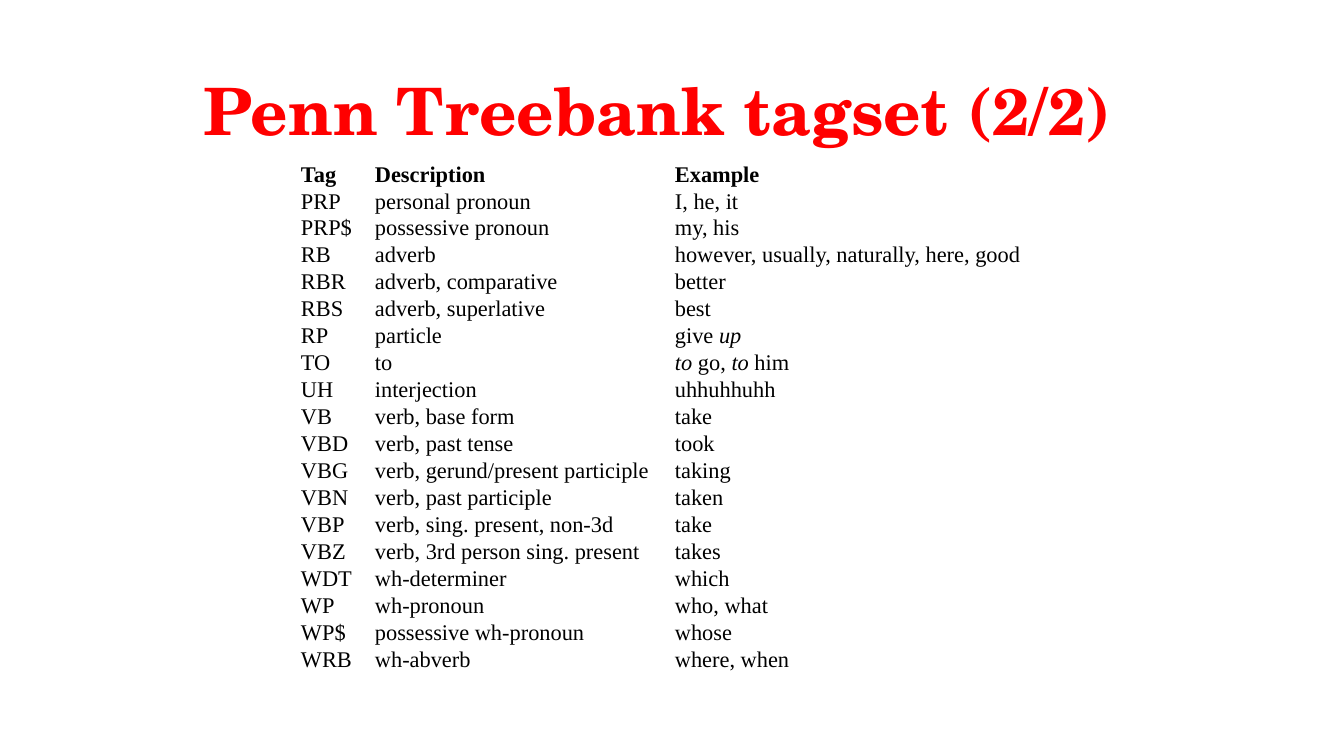
from pptx import Presentation
from pptx.dml.color import RGBColor
from pptx.enum.text import MSO_ANCHOR, MSO_AUTO_SIZE, PP_ALIGN
from pptx.util import Pt

TITLE = "Penn Treebank tagset (2/2)"
HEADER = ("Tag", "Description", "Example")
TAGS = [
    ("PRP", "personal pronoun", "I, he, it"),
    ("PRP$", "possessive pronoun", "my, his"),
    ("RB", "adverb", "however, usually, naturally, here, good"),
    ("RBR", "adverb, comparative", "better"),
    ("RBS", "adverb, superlative", "best"),
    ("RP", "particle", "give *up*"),
    ("TO", "to", "*to* go, *to* him"),
    ("UH", "interjection", "uhhuhhuhh"),
    ("VB", "verb, base form", "take"),
    ("VBD", "verb, past tense", "took"),
    ("VBG", "verb, gerund/present participle", "taking"),
    ("VBN", "verb, past participle", "taken"),
    ("VBP", "verb, sing. present, non-3d", "take"),
    ("VBZ", "verb, 3rd person sing. present", "takes"),
    ("WDT", "wh-determiner", "which"),
    ("WP", "wh-pronoun", "who, what"),
    ("WP$", "possessive wh-pronoun", "whose"),
    ("WRB", "wh-abverb", "where, when"),
]
ROWS = [HEADER] + TAGS
COLUMN_WIDTHS = (74, 300, 410)
ROW_HEIGHT = 27

RED = RGBColor(0xFF, 0x00, 0x00)
BLACK = RGBColor(0x00, 0x00, 0x00)
TITLE_FONT = "TeX Gyre Schola"
TABLE_FONT = "Times New Roman"


def px(length):
    return round(length * 914400 / 134.4)


def style(paragraph, font_name, size, color, bold):
    font = paragraph.font
    font.name, font.size, font.bold = font_name, Pt(size), bold
    font.color.rgb = color


def fill_cell(cell, text, bold):
    cell.fill.background()
    cell.vertical_anchor = MSO_ANCHOR.MIDDLE
    cell.margin_left = cell.margin_right = px(4)
    cell.margin_top = cell.margin_bottom = px(1)
    paragraph = cell.text_frame.paragraphs[0]
    style(paragraph, TABLE_FONT, 12, BLACK, bold)
    for position, part in enumerate(text.split("*")):
        if part:
            run = paragraph.add_run()
            run.text = part
            if position % 2:
                run.font.italic = True


def add_title(slide):
    title = slide.shapes.title
    title.left, title.top, title.width, title.height = map(px, (38, 58, 1239, 103))
    frame = title.text_frame
    frame.text = TITLE
    frame.auto_size = MSO_AUTO_SIZE.NONE
    frame.vertical_anchor = MSO_ANCHOR.MIDDLE
    paragraph = frame.paragraphs[0]
    paragraph.alignment = PP_ALIGN.CENTER
    style(paragraph, TITLE_FONT, 35, RED, True)


def add_tagset(slide):
    tagset = slide.shapes.add_table(
        len(ROWS), len(HEADER), px(297), px(161),
        px(sum(COLUMN_WIDTHS)), px(ROW_HEIGHT * len(ROWS))).table
    tagset.first_row = tagset.horz_banding = False
    for column, width in zip(tagset.columns, COLUMN_WIDTHS):
        column.width = px(width)
    for row, entry in zip(tagset.rows, ROWS):
        row.height = px(ROW_HEIGHT)
        for cell, text in zip(row.cells, entry):
            fill_cell(cell, text, entry is HEADER)


def main():
    deck = Presentation()
    deck.slide_width, deck.slide_height = px(1344), px(756)
    slide = deck.slides.add_slide(deck.slide_layouts[5])
    add_title(slide)
    add_tagset(slide)
    deck.save("out.pptx")


if __name__ == "__main__":
    main()
